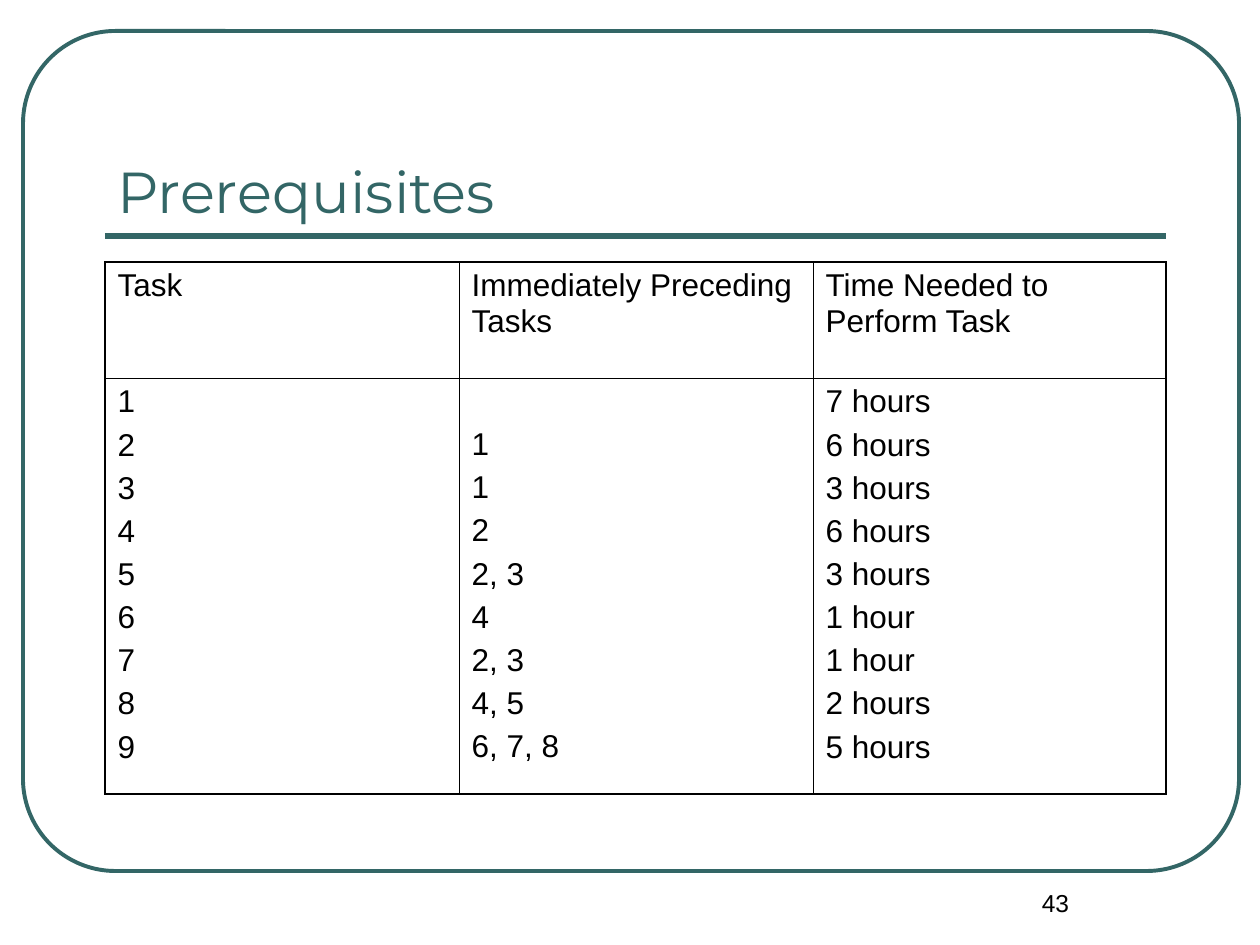
from lxml import etree
from pptx import Presentation
from pptx import util as u
from pptx.dml import color
from pptx.enum import shapes, text
from pptx.oxml import ns

SCALE = 914400 / 126
TEAL = "336666"
BLACK = "000000"


def px(length):
    return u.Emu(round(length * SCALE))


def paint(hex_value):
    return color.RGBColor.from_string(hex_value)


deck = Presentation()
deck.slide_width, deck.slide_height = px(1260), px(945)
page = deck.slides.add_slide(deck.slide_layouts[5])

frame = page.shapes.add_shape(
    shapes.MSO_SHAPE.ROUNDED_RECTANGLE, px(23), px(31), px(1216), px(840)
)
frame.adjustments[0] = 0.11
frame.shadow.inherit = False
frame.fill.background()
frame.line.color.rgb = paint(TEAL)
frame.line.width = u.Pt(2.25)

rule = page.shapes.add_connector(
    shapes.MSO_CONNECTOR.STRAIGHT, px(105), px(236), px(1166), px(236)
)
rule.line.color.rgb = paint(TEAL)
rule.line.width = u.Pt(3)
etree.SubElement(rule.element.spPr, ns.qn("a:effectLst"))

title = page.shapes.title
title.left, title.top, title.width, title.height = px(105), px(73), px(1061), px(158)
title.text_frame.text = "Prerequisites"
title.text_frame.auto_size = text.MSO_AUTO_SIZE.NONE
title.text_frame.vertical_anchor = text.MSO_ANCHOR.BOTTOM
para = title.text_frame.paragraphs[0]
para.alignment = text.PP_ALIGN.LEFT
para.font.name = "Montserrat"
para.font.size = u.Pt(33)
para.font.color.rgb = paint(TEAL)

number = page.shapes.add_textbox(px(945), px(882), px(221), px(63))
number.text_frame.word_wrap = True
number.text_frame.text = "43"
para = number.text_frame.paragraphs[0]
para.alignment = text.PP_ALIGN.CENTER
para.font.name = "Arial"
para.font.size = u.Pt(14)
para.font.color.rgb = paint(BLACK)

headings = ["Task", "Immediately Preceding Tasks", "Time Needed to Perform Task"]
tasks = [str(task) for task in range(1, 10)]
preceding = ["1", "1", "2", "2, 3", "4", "2, 3", "4, 5", "6, 7, 8"]
hours = [7, 6, 3, 6, 3, 1, 1, 2, 5]
times = [f"{count} hour" if count == 1 else f"{count} hours" for count in hours]
rows = [[[heading] for heading in headings], [tasks, preceding, times]]

table = page.shapes.add_table(2, 3, px(105), px(262), px(1061), px(532)).table
table.first_row = table.horz_banding = False
for column, width in zip(table.columns, [354, 354, 353]):
    column.width = px(width)
for row, height in zip(table.rows, [116, 416]):
    row.height = px(height)

for row_index, row in enumerate(rows):
    for column_index, lines in enumerate(row):
        cell = table.cell(row_index, column_index)
        cell.text = "\n".join(lines)
        for line_index, para in enumerate(cell.text_frame.paragraphs):
            para.space_before = u.Pt(4.5 if line_index else 0)
            para.font.name = "Arial"
            para.font.size = u.Pt(18)
            para.font.color.rgb = paint(BLACK)

        outer_sides = {
            "a:lnL": column_index == 0,
            "a:lnR": column_index == 2,
            "a:lnT": row_index == 0,
            "a:lnB": row_index == 1,
        }
        properties = cell._tc.get_or_add_tcPr()
        for side, is_outer in outer_sides.items():
            border = etree.SubElement(properties, ns.qn(side))
            border.set("w", str(u.Pt(1.08 if is_outer else 0.45)))
            fill = etree.SubElement(border, ns.qn("a:solidFill"))
            etree.SubElement(fill, ns.qn("a:srgbClr")).set("val", BLACK)
        cell.fill.background()

table.cell(1, 1).margin_top = px(49)

deck.save("out.pptx")
